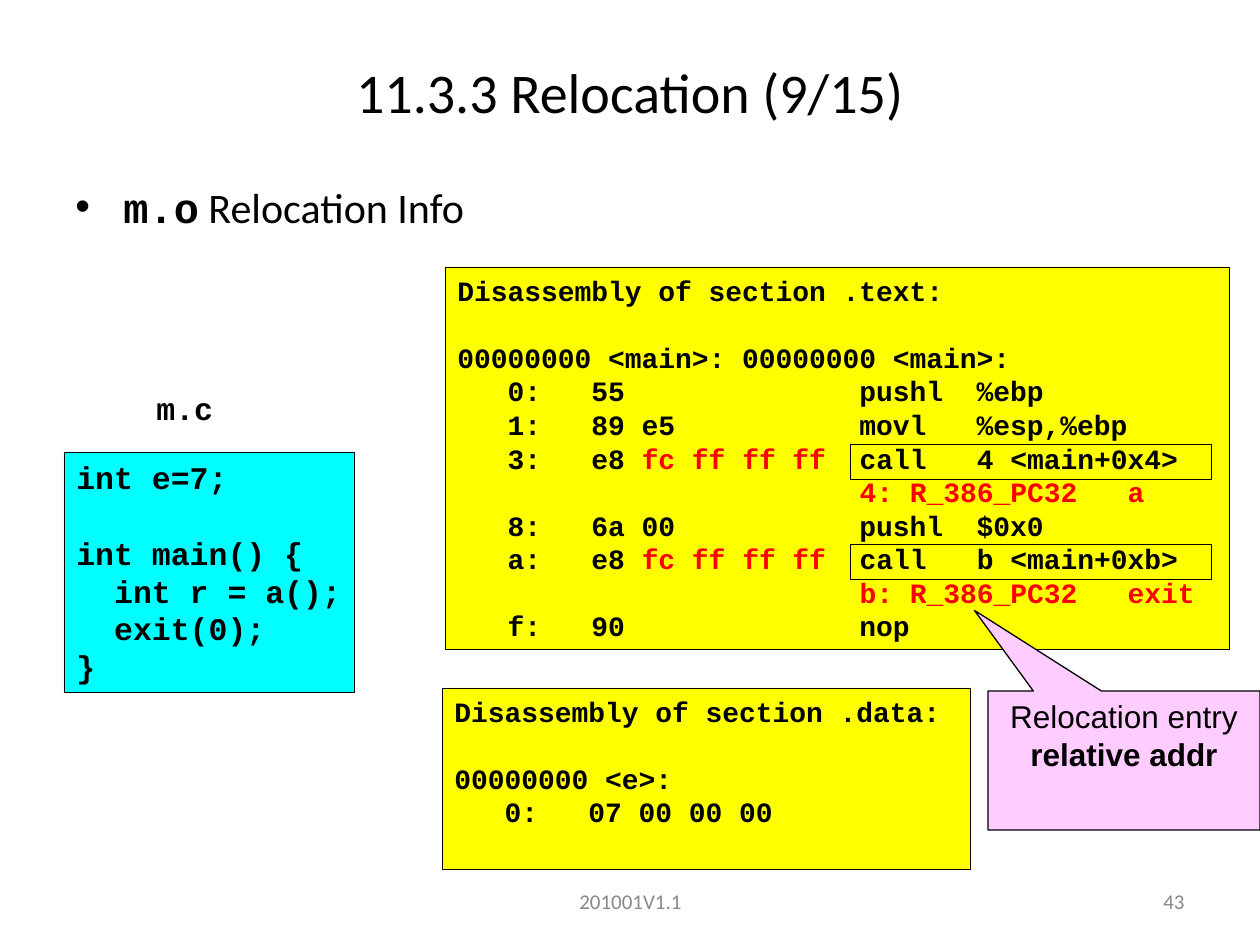
"""Build the slide on relocation entries in m.o."""
from dataclasses import dataclass

from lxml.etree import SubElement
from pptx import Presentation
from pptx.dml.color import RGBColor
from pptx.enum.shapes import MSO_SHAPE
from pptx.enum.text import MSO_ANCHOR, PP_ALIGN
from pptx.oxml.ns import qn
from pptx.util import Emu, Pt


@dataclass(frozen=True)
class Theme:
    ink: str = "000000"
    paper: str = "FFFFFF"
    muted: str = "898989"
    relocated: str = "FF0000"
    listing: str = "FFFF00"
    source: str = "00FFFF"
    callout: str = "FFCCFF"
    sans: str = "Calibri"
    mono: str = "Courier New"
    note: str = "Arial"
    title_size: int = 32
    body_size: int = 24
    source_size: int = 18
    listing_size: int = 16
    footer_size: int = 12
    leading: float = 1.2


theme = Theme()
PX = 914400 / 126


def px(*lengths):
    return [Emu(round(length * PX)) for length in lengths]


def write(shape, lines, size, font=theme.sans, color=theme.ink, bold=False,
          align=PP_ALIGN.LEFT, anchor=MSO_ANCHOR.TOP, wrap=True, leading=None, bullet=None):
    frame = shape.text_frame
    frame.word_wrap = wrap
    frame.vertical_anchor = anchor
    paragraph, gap = frame.paragraphs[0], 0
    for index, line in enumerate(lines):
        if not line:
            gap = size * leading
            continue
        if index:
            paragraph = frame.add_paragraph()
            paragraph.space_before = Pt(gap)
        gap = 0
        if bullet:
            properties = paragraph._p.get_or_add_pPr()
            properties.set("marL", str(px(48)[0]))
            properties.set("indent", str(px(-48)[0]))
            SubElement(properties, qn("a:buFont"), typeface="Arial")
            SubElement(properties, qn("a:buChar"), char=bullet)
        paragraph.alignment = align
        if leading:
            paragraph.line_spacing = Pt(size * leading)
        for part in [line] if isinstance(line, str) else line:
            text, changes = (part, {}) if isinstance(part, str) else part
            run = paragraph.add_run()
            run.text = text
            run.font.size = Pt(size)
            run.font.name = changes.get("font", font)
            run.font.bold = changes.get("bold", bold)
            run.font.color.rgb = RGBColor.from_string(changes.get("color", color))


deck = Presentation()
deck.slide_width, deck.slide_height = px(1260, 945)
slide = deck.slides.add_slide(deck.slide_layouts[5])
shapes = slide.shapes

heading = shapes.title
heading.left, heading.top, heading.width, heading.height = px(0, 38, 1260, 107)
write(heading, ["11.3.3 Relocation (9/15)"], theme.title_size,
      align=PP_ALIGN.CENTER, anchor=MSO_ANCHOR.MIDDLE)

topic = shapes.add_textbox(*px(63, 175, 1134, 669))
write(topic, [[("m.o", {"font": theme.mono, "bold": True}), " Relocation Info"]],
      theme.body_size, bullet="•")

for text, left, width, align in [
    ("201001V1.1", 431, 399, PP_ALIGN.CENTER),
    ("43", 903, 294, PP_ALIGN.RIGHT),
]:
    footer = shapes.add_textbox(*px(left, 876, width, 50))
    write(footer, [text], theme.footer_size, color=theme.muted,
          align=align, anchor=MSO_ANCHOR.MIDDLE)

red = {"color": theme.relocated}
operand = ("fc ff ff ff", red)
entry_indent = " " * 24
text_section = [
    "Disassembly of section .text:",
    "",
    "00000000 <main>: 00000000 <main>:",
    "   0:   55              pushl  %ebp",
    "   1:   89 e5           movl   %esp,%ebp",
    ["   3:   e8 ", operand, "  call   4 <main+0x4>"],
    [entry_indent, ("4: R_386_PC32   a", red)],
    "   8:   6a 00           pushl  $0x0",
    ["   a:   e8 ", operand, "  call   b <main+0xb>"],
    [entry_indent, ("b: R_386_PC32   exit", red)],
    "   f:   90              nop",
]
data_section = [
    "Disassembly of section .data:",
    "",
    "00000000 <e>:",
    "   0:   07 00 00 00",
]
c_source = [
    "int e=7;",
    "",
    "int main() {",
    "  int r = a();",
    "  exit(0);",
    "}",
]

for lines, bounds, fill, outline, size in [
    (text_section, (445, 267, 784, 382), theme.listing, theme.ink, theme.listing_size),
    (data_section, (442, 688, 528, 181), theme.listing, theme.ink, theme.listing_size),
    (c_source, (64, 452, 290, 240), theme.source, theme.ink, theme.source_size),
    (["m.c"], (144, 383, 82, 50), None, theme.paper, theme.source_size),
    ([], (850, 444, 361, 35), None, theme.ink, theme.listing_size),
    ([], (850, 544, 361, 35), None, theme.ink, theme.listing_size),
]:
    panel = shapes.add_shape(MSO_SHAPE.RECTANGLE, *px(*bounds))
    panel.shadow.inherit = False
    if fill:
        panel.fill.solid()
        panel.fill.fore_color.rgb = RGBColor.from_string(fill)
    else:
        panel.fill.background()
    panel.line.color.rgb = RGBColor.from_string(outline)
    panel.line.width = Pt(0.25)
    write(panel, lines, size, font=theme.mono, bold=True, wrap=False, leading=theme.leading)

callout = shapes.add_shape(MSO_SHAPE.RECTANGULAR_CALLOUT, *px(988, 691, 272, 139))
callout.adjustments[0], callout.adjustments[1] = -0.55, -1.08
callout.shadow.inherit = False
callout.fill.solid()
callout.fill.fore_color.rgb = RGBColor.from_string(theme.callout)
callout.line.color.rgb = RGBColor.from_string(theme.ink)
callout.line.width = Pt(0.75)
write(callout, ["Relocation entry", [("relative addr", {"bold": True})]], theme.source_size,
      font=theme.note, align=PP_ALIGN.CENTER, leading=theme.leading)

deck.save("out.pptx")
